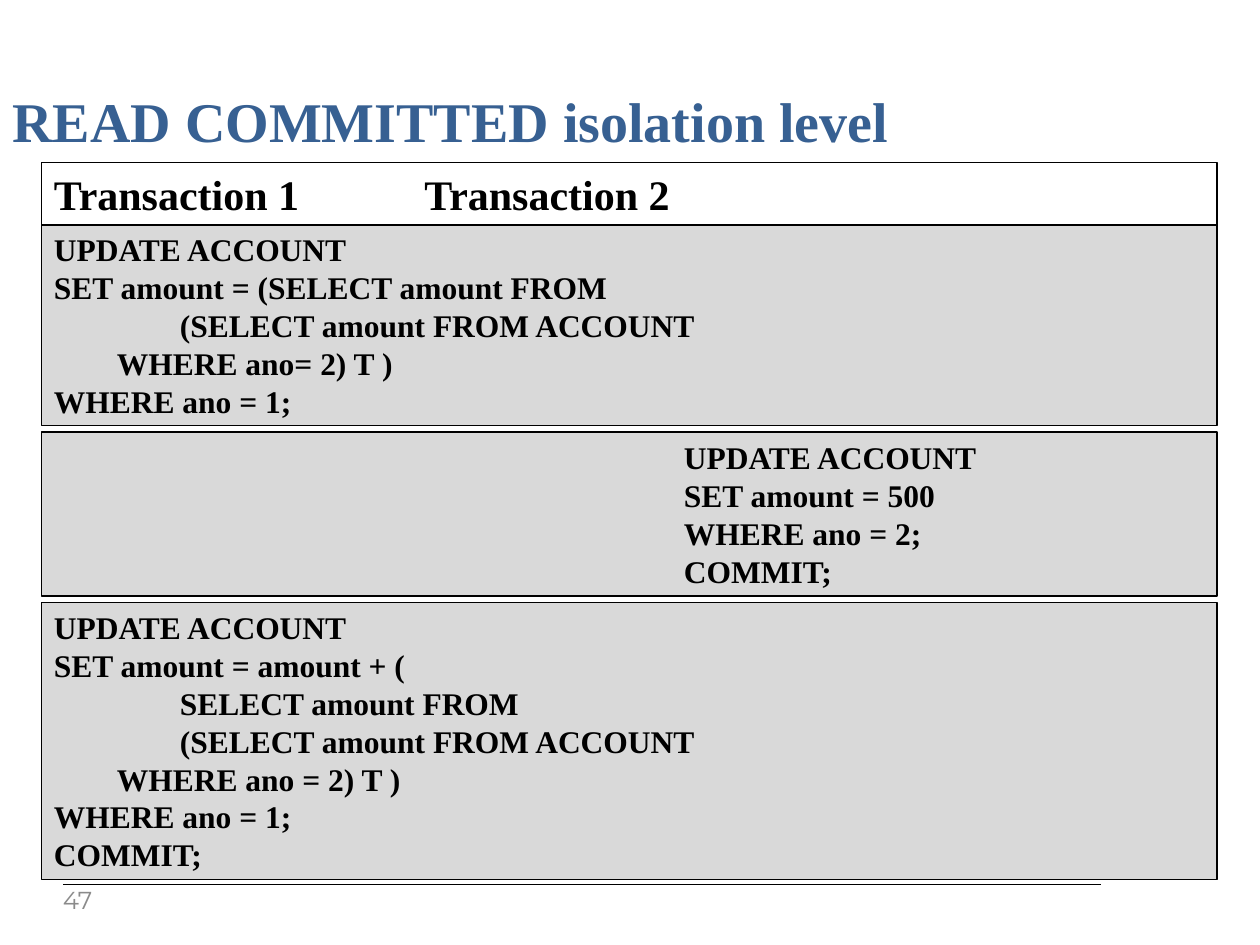
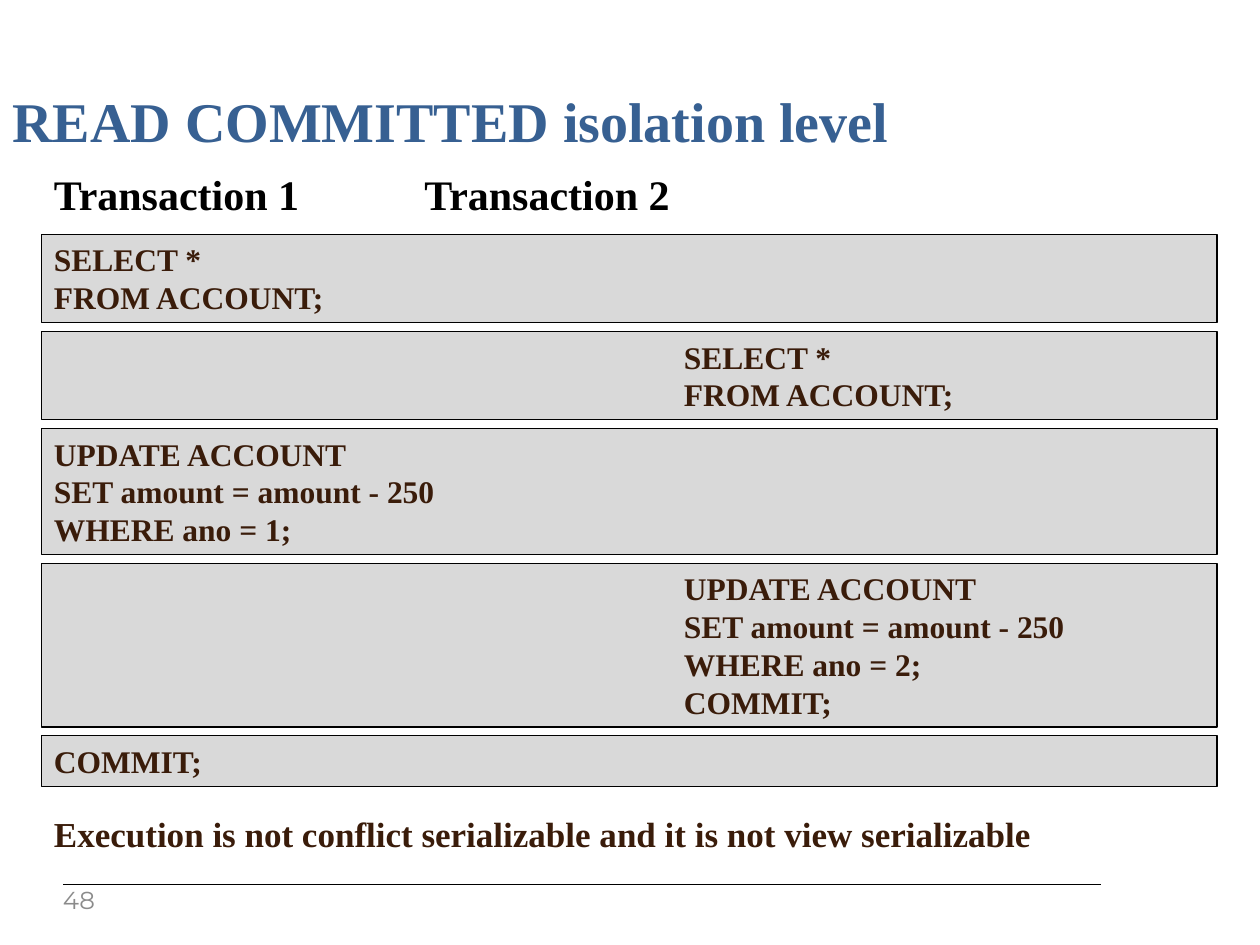
from pptx import Presentation
from pptx import util as u
from pptx.dml.color import RGBColor
from pptx.enum import shapes, text
from lxml import etree

NAMESPACE = "{http://schemas.openxmlformats.org/drawingml/2006/main}"
SERIF, SANS = "Times New Roman", "Montserrat"
BLACK, BROWN, BLUE, BAND, GREY = "000000", "3A1C0A", "376092", "D9D9D9", "8B8B8B"
LINE_RATIO = 1.2
CODE_SIZE = 18
CODE_LINE = CODE_SIZE * LINE_RATIO / 72
BAND_PADDING = 0.1
BAND_LEFT, BAND_WIDTH = 0.33, 9.33
SECOND_COLUMN = 5
SECOND_HEADING = 2.94


def color(value):
    return RGBColor.from_string(value)


def add_box(slide, box, fill=None, outlined=False):
    lengths = [u.Inches(length) for length in box]
    if fill or outlined:
        shape = slide.shapes.add_shape(shapes.MSO_SHAPE.RECTANGLE, *lengths)
        shape.shadow.inherit = False
        shape.line.color.rgb = color(BLACK)
        shape.line.width = u.Pt(0.75)
        if fill:
            shape.fill.solid()
            shape.fill.fore_color.rgb = color(fill)
        else:
            shape.fill.background()
    else:
        shape = slide.shapes.add_textbox(*lengths)
    shape.text_frame.word_wrap = True
    shape.text_frame.vertical_anchor = text.MSO_ANCHOR.TOP
    return shape


def write_lines(shape, lines, size, ink, font=SERIF, bold=True):
    frame = shape.text_frame
    for index, (indent, words) in enumerate(lines):
        paragraph = frame.add_paragraph() if index else frame.paragraphs[0]
        paragraph.alignment = text.PP_ALIGN.LEFT
        paragraph.line_spacing = u.Pt(size * LINE_RATIO)
        if indent:
            properties = paragraph._p.get_or_add_pPr()
            properties.set("marL", str(u.Inches(indent)))
            properties.set("indent", "0")
        run = paragraph.add_run()
        run.text = words
        run.font.name = font
        run.font.size = u.Pt(size)
        run.font.bold = bold
        run.font.color.rgb = color(ink)


def add_title(slide, words):
    shape = add_box(slide, (0, 0.62, 10, 0.67))
    shape.text_frame.vertical_anchor = text.MSO_ANCHOR.MIDDLE
    write_lines(shape, [(0, words)], 32, BLUE)


def add_column_headings(slide, outlined):
    shape = add_box(slide, (BAND_LEFT, 1.29, BAND_WIDTH, 0.5), outlined=outlined)
    write_lines(shape, [(0, "Transaction 1\tTransaction 2")], 24, BLACK)
    properties = shape.text_frame.paragraphs[0]._p.get_or_add_pPr()
    stops = etree.SubElement(properties, NAMESPACE + "tabLst")
    etree.SubElement(stops, NAMESPACE + "tab", pos=str(u.Inches(SECOND_HEADING)), algn="l")


def add_footer(slide, number):
    rule = slide.shapes.add_connector(
        shapes.MSO_CONNECTOR.STRAIGHT,
        *[u.Inches(length) for length in (0.5, 7.02, 8.74, 7.02)])
    rule.line.color.rgb = color(BLACK)
    rule.line.width = u.Pt(0.75)
    etree.SubElement(rule._element.spPr, NAMESPACE + "effectLst")
    shape = add_box(slide, (0.5, 7.06, 0.4, 0.21))
    frame = shape.text_frame
    frame.vertical_anchor = text.MSO_ANCHOR.MIDDLE
    frame.margin_left = frame.margin_top = 0
    write_lines(shape, [(0, str(number))], 14, GREY, SANS, False)
    frame.paragraphs[0].line_spacing = 1.0


def add_schedule(slide, top, gap, steps, ink):
    for column, lines in steps:
        height = BAND_PADDING + CODE_LINE * len(lines)
        band = add_box(slide, (BAND_LEFT, top, BAND_WIDTH, height), BAND)
        start = SECOND_COLUMN * (column - 1)
        write_lines(band, [(start + indent, words) for indent, words in lines], CODE_SIZE, ink)
        top += height + gap


def add_transaction_slide(presentation, number, top, gap, steps, ink, outlined=False, verdict=None):
    slide = presentation.slides.add_slide(presentation.slide_layouts[6])
    add_footer(slide, number)
    add_schedule(slide, top, gap, steps, ink)
    add_title(slide, "READ COMMITTED isolation level")
    add_column_headings(slide, outlined)
    if verdict:
        shape = add_box(slide, (BAND_LEFT, 6.4, BAND_WIDTH, 0.43))
        write_lines(shape, [(0, verdict)], 20, ink)


def flush(*lines):
    return [(0, words) for words in lines]


SUBQUERY_STEPS = [
    (1, [(0, "UPDATE ACCOUNT"),
         (0, "SET amount = (SELECT amount FROM"),
         (1, "(SELECT amount FROM ACCOUNT"),
         (0.5, "WHERE ano= 2) T )"),
         (0, "WHERE ano = 1;")]),
    (2, flush("UPDATE ACCOUNT", "SET amount = 500", "WHERE ano = 2;", "COMMIT;")),
    (1, [(0, "UPDATE ACCOUNT"),
         (0, "SET amount = amount + ("),
         (1, "SELECT amount FROM"),
         (1, "(SELECT amount FROM ACCOUNT"),
         (0.5, "WHERE ano = 2) T )"),
         (0, "WHERE ano = 1;"),
         (0, "COMMIT;")]),
]
READ = flush("SELECT *", "FROM ACCOUNT;")
WITHDRAW = flush("UPDATE ACCOUNT", "SET amount = amount - 250")
WITHDRAWAL_STEPS = [
    (1, READ),
    (2, READ),
    (1, WITHDRAW + flush("WHERE ano = 1;")),
    (2, WITHDRAW + flush("WHERE ano = 2;", "COMMIT;")),
    (1, flush("COMMIT;")),
]


def main():
    presentation = Presentation()
    presentation.slide_width, presentation.slide_height = u.Inches(10), u.Inches(7.5)
    add_transaction_slide(presentation, 47, 1.78, 0.05, SUBQUERY_STEPS, BLACK, outlined=True)
    add_transaction_slide(
        presentation, 48, 1.86, 0.07, WITHDRAWAL_STEPS, BROWN,
        verdict="Execution is not conflict serializable and it is not view serializable")
    presentation.save("out.pptx")


if __name__ == "__main__":
    main()
